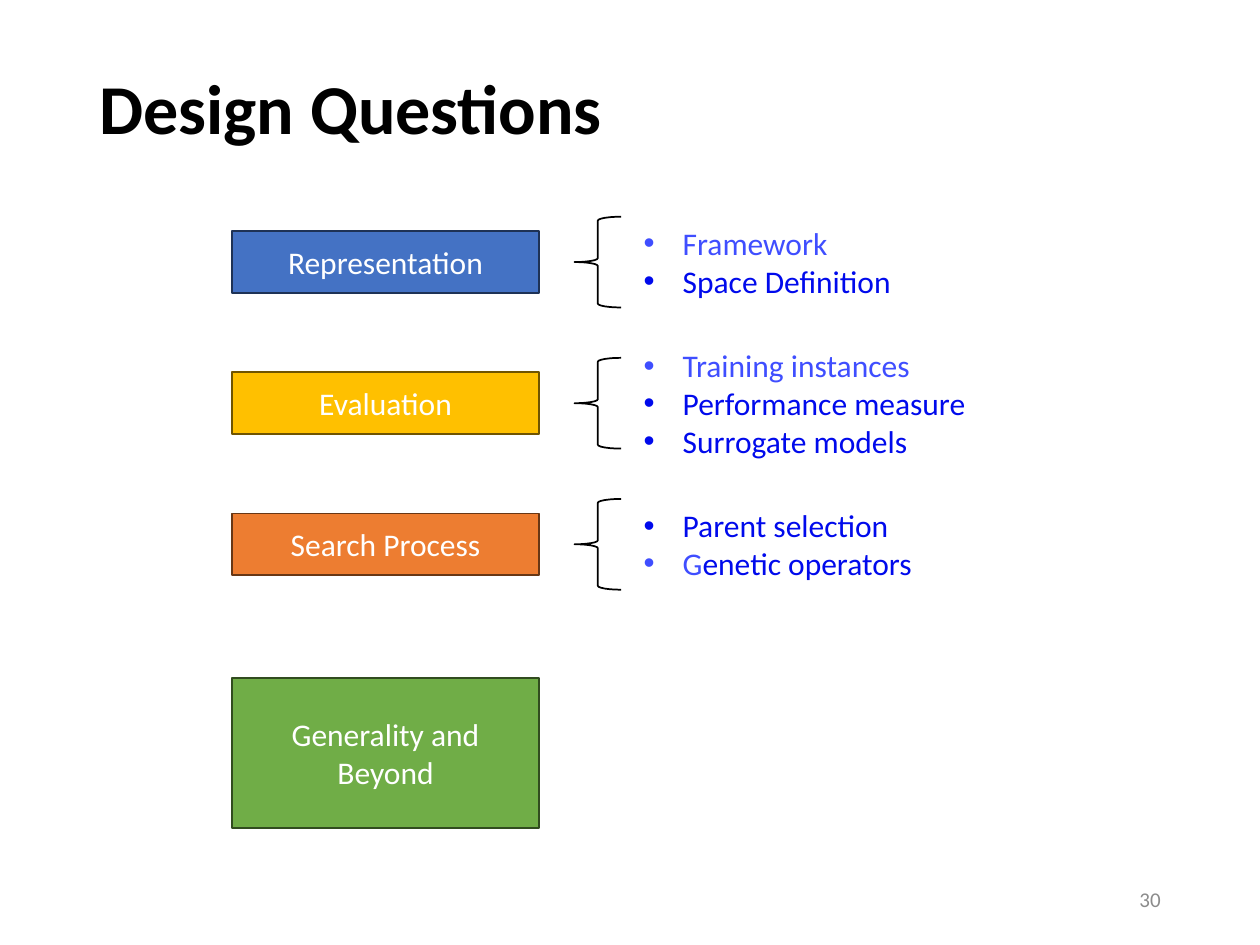
"""Build the Design Questions slide."""
from lxml.etree import SubElement
from pptx import Presentation
from pptx.dml.color import RGBColor
from pptx.enum.shapes import MSO_SHAPE
from pptx.enum.text import MSO_ANCHOR, PP_ALIGN
from pptx.oxml.ns import qn
from pptx.util import Inches, Pt

BLACK = RGBColor(0x00, 0x00, 0x00)
WHITE = RGBColor(0xFF, 0xFF, 0xFF)
GREY = RGBColor(0x8C, 0x8C, 0x8C)
LIGHT = RGBColor(0x3F, 0x4E, 0xFF)
DEEP = RGBColor(0x00, 0x0A, 0xEC)
BLUE = RGBColor(0x44, 0x72, 0xC4)
NAVY = RGBColor(0x1E, 0x32, 0x56)
GOLD = RGBColor(0xFF, 0xC0, 0x00)
OLIVE = RGBColor(0x70, 0x54, 0x00)
ORANGE = RGBColor(0xED, 0x7D, 0x31)
BROWN = RGBColor(0x68, 0x37, 0x15)
GREEN = RGBColor(0x70, 0xAD, 0x47)
FOREST = RGBColor(0x31, 0x4C, 0x1F)

LEFT, WIDTH, HEIGHT = 1.84, 2.44, 0.49
MIDDLE, PITCH = 2.08, 1.12
LINE, PAD = 0.3, 0.1

ROWS = [
    ("Representation", BLUE, NAVY,
     [[("Framework", LIGHT)], [("Space Definition", DEEP)]]),
    ("Evaluation", GOLD, OLIVE,
     [[("Training instances", LIGHT)], [("Performance measure", DEEP)],
      [("Surrogate models", DEEP)]]),
    ("Search Process", ORANGE, BROWN,
     [[("Parent selection", DEEP)], [("G", LIGHT), ("enetic operators", DEEP)]]),
]


class Painter:
    """Holds the text style and the current slide."""

    def __init__(self, slide, face="Calibri", size=18):
        self.slide, self.face, self.size = slide, face, size

    def style(self, run, color, size=None, bold=False):
        font = run.font
        font.name, font.size, font.bold = self.face, Pt(size or self.size), bold
        font.color.rgb = color

    def frame(self, x, y, w, h):
        box = self.slide.shapes.add_textbox(Inches(x), Inches(y), Inches(w), Inches(h))
        box.text_frame.word_wrap = True
        return box.text_frame

    def label(self, text, x, y, w, h, color, size, align=PP_ALIGN.LEFT, bold=False):
        frame = self.frame(x, y, w, h)
        frame.text = text
        frame.vertical_anchor = MSO_ANCHOR.MIDDLE
        para = frame.paragraphs[0]
        para.alignment, para.line_spacing = align, 0.9
        self.style(para.runs[0], color, size, bold)

    def shape(self, kind, x, y, w, h, line):
        shape = self.slide.shapes.add_shape(kind, Inches(x), Inches(y), Inches(w), Inches(h))
        shape.shadow.inherit = False
        shape.line.color.rgb = line
        shape.line.width = Pt(1)
        return shape

    def block(self, text, y, h, fill, line):
        shape = self.shape(MSO_SHAPE.RECTANGLE, LEFT, y, WIDTH, h, line)
        shape.fill.solid()
        shape.fill.fore_color.rgb = fill
        frame = shape.text_frame
        frame.text = text
        frame.word_wrap = True
        frame.vertical_anchor = MSO_ANCHOR.MIDDLE
        para = frame.paragraphs[0]
        para.alignment = PP_ALIGN.CENTER
        self.style(para.runs[0], WHITE)

    def brace(self, mid):
        high = 0.72
        shape = self.shape(MSO_SHAPE.LEFT_BRACE, 4.56, mid - high / 2, 0.37, high, BLACK)
        shape.fill.background()

    def bullets(self, items, mid):
        high = len(items) * LINE + PAD
        frame = self.frame(5.01, mid - high / 2, 3.21, high)
        for i, parts in enumerate(items):
            para = frame.add_paragraph() if i else frame.paragraphs[0]
            props = para._p.get_or_add_pPr()
            props.set("marL", str(Inches(0.31)))
            props.set("indent", str(Inches(-0.31)))
            SubElement(props, qn("a:buFont"), typeface="Arial")
            SubElement(props, qn("a:buChar"), char="•")
            for text, color in parts:
                run = para.add_run()
                run.text = text
                self.style(run, color)


def main():
    deck = Presentation()
    deck.slide_width, deck.slide_height = Inches(10), Inches(7.5)
    paint = Painter(deck.slides.add_slide(deck.slide_layouts[6]))
    paint.label("Design Questions", 0.69, 0.4, 8.62, 0.97, BLACK, 40, bold=True)
    for i, (text, fill, line, items) in enumerate(ROWS):
        mid = MIDDLE + i * PITCH
        paint.block(text, mid - HEIGHT / 2, HEIGHT, fill, line)
        paint.brace(mid)
        paint.bullets(items, mid)
    paint.block("Generality and Beyond", 5.38, 1.19, GREEN, FOREST)
    paint.label("30", 7.06, 6.95, 2.25, 0.4, GREY, 12, PP_ALIGN.RIGHT)
    deck.save("out.pptx")


if __name__ == "__main__":
    main()
